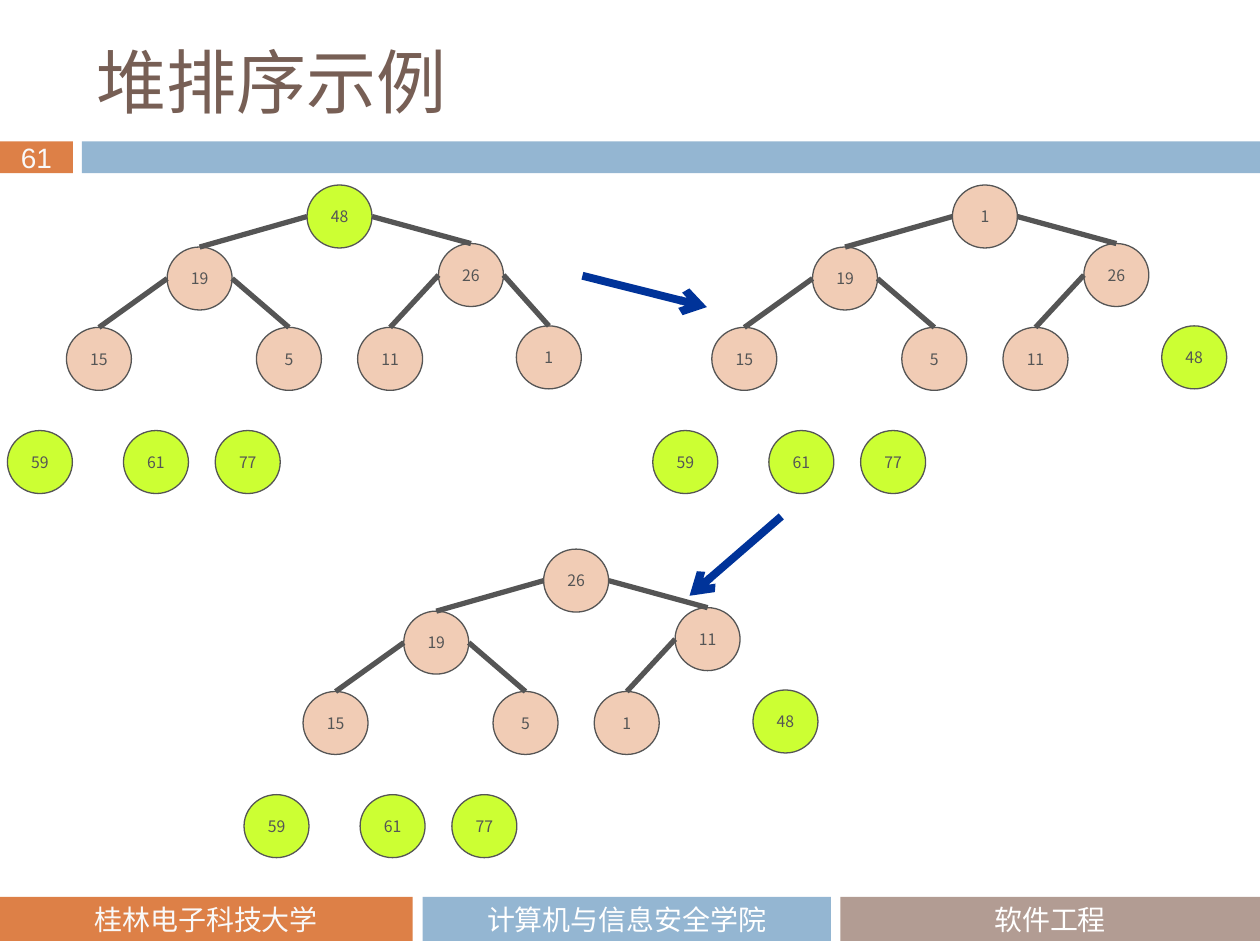
from dataclasses import dataclass

from lxml import etree
from pptx import Presentation
from pptx.dml.color import RGBColor
from pptx.enum.shapes import MSO_CONNECTOR, MSO_SHAPE
from pptx.enum.text import MSO_ANCHOR, PP_ALIGN
from pptx.oxml.ns import qn
from pptx.util import Cm, Pt

RECTANGLE, ELLIPSE = MSO_SHAPE.RECTANGLE, MSO_SHAPE.OVAL
STRAIGHT = MSO_CONNECTOR.STRAIGHT
LEFT, CENTER = PP_ALIGN.LEFT, PP_ALIGN.CENTER
MIDDLE = MSO_ANCHOR.MIDDLE


@dataclass(frozen=True)
class Theme:
    orange: str = "DD8047"
    blue: str = "94B6D2"
    taupe: str = "B29C93"
    title: str = "775F55"
    white: str = "FFFFFF"
    pale: str = "F9F9F9"
    ink: str = "555555"
    heap: str = "F1CCB5"
    settled: str = "CCFF33"
    step: str = "003399"
    title_size: float = 40
    bar_size: float = 16
    node_size: float = 9
    title_font: str = "Noto Sans CJK JP"
    bar_font: str = "Cabin"
    number_font: str = "Arial"
    node_font: str = "Noto Sans CJK SC"


THEME = Theme()

NODE_WIDTH, NODE_HEIGHT = 1.31, 1.27
# Node corners within a tree box, in heap order: children of i are 2i and 2i + 1.
NODE_OFFSETS = [
    (6.04, 0),
    (3.22, 1.25), (8.69, 1.18),
    (1.19, 2.87), (5.02, 2.87), (7.06, 2.87), (10.26, 2.84),
    (0, 4.95), (2.34, 4.95), (4.19, 4.95),
]
SETTLED_VALUES = {48, 59, 61, 77}
# Tree corner, values in heap order, number of values still linked in the heap.
HEAP_STEPS = [
    ((0.15, 3.73), [48, 19, 26, 15, 5, 11, 1, 59, 61, 77], 7),
    ((13.16, 3.73), [1, 19, 26, 15, 5, 11, 48, 59, 61, 77], 6),
    ((4.92, 11.07), [26, 19, 11, 15, 5, 1, 48, 59, 61, 77], 6),
]
STEP_ARROWS = [((11.74, 5.56), (14.25, 6.19)), ((15.75, 10.41), (13.9, 12.01))]


def write_text(shape, text, *, size, font, color, align=CENTER, inset=0, wrap=True):
    frame = shape.text_frame
    frame.word_wrap = wrap
    frame.vertical_anchor = MIDDLE
    frame.margin_left = frame.margin_right = Cm(inset)
    frame.margin_top = frame.margin_bottom = 0
    paragraph = frame.paragraphs[0]
    paragraph.alignment = align
    run = paragraph.add_run()
    run.text = text
    run.font.size = Pt(size)
    run.font.name = font
    run.font.color.rgb = RGBColor.from_string(color)
    east_asian = etree.SubElement(run.font._element, qn("a:ea"))
    east_asian.set("typeface", font)


def add_filled(slide, kind, box, fill, outline=None):
    shape = slide.shapes.add_shape(kind, *map(Cm, box))
    shape.shadow.inherit = False
    shape.fill.solid()
    shape.fill.fore_color.rgb = RGBColor.from_string(fill)
    if outline:
        shape.line.color.rgb = RGBColor.from_string(outline)
        shape.line.width = Pt(0.75)
    else:
        shape.line.fill.background()
    return shape


def add_line(slide, start, end, color, width, arrow=False):
    connector = slide.shapes.add_connector(STRAIGHT, *map(Cm, (*start, *end)))
    connector.line.color.rgb = RGBColor.from_string(color)
    connector.line.width = Pt(width)
    if arrow:
        outline = connector.line._get_or_add_ln()
        etree.SubElement(outline, qn("a:tailEnd")).set("type", "arrow")
    etree.SubElement(connector._element.spPr, qn("a:effectLst"))


def add_header(slide, left, top, width, height):
    title_height, bar_height, number_width, gap = 1.98, 0.64, 1.47, 0.18
    title = slide.shapes.add_textbox(
        Cm(left + 1.7), Cm(top), Cm(width - 2.74), Cm(title_height))
    write_text(title, "堆排序示例", size=THEME.title_size, font=THEME.title_font,
               color=THEME.title, align=LEFT, inset=0.25)
    bar_top = top + height - bar_height
    number = add_filled(slide, RECTANGLE, (left, bar_top, number_width, bar_height),
                        THEME.orange)
    write_text(number, "61", size=THEME.bar_size, font=THEME.number_font,
               color=THEME.pale, wrap=False)
    bar_left = left + number_width + gap
    add_filled(slide, RECTANGLE,
               (bar_left, bar_top, left + width - bar_left, bar_height), THEME.blue)


def add_footer(slide, left, top, width, height):
    bars = [
        ("桂林电子科技大学", 0, 8.32, THEME.orange, THEME.pale),
        ("计算机与信息安全学院", 8.52, 8.23, THEME.blue, THEME.white),
        ("软件工程", 16.94, width - 16.94, THEME.taupe, THEME.white),
    ]
    for text, offset, bar_width, fill, color in bars:
        bar = add_filled(slide, RECTANGLE, (left + offset, top, bar_width, height), fill)
        write_text(bar, text, size=THEME.bar_size, font=THEME.bar_font, color=color)


def add_heap(slide, left, top, values, heap_size):
    """Draw the linked heap and, unlinked, the values already sorted out of it."""
    corners = [(left + x, top + y) for x, y in NODE_OFFSETS]
    for value, corner in zip(values, corners):
        fill = THEME.settled if value in SETTLED_VALUES else THEME.heap
        node = add_filled(slide, ELLIPSE, (*corner, NODE_WIDTH, NODE_HEIGHT), fill,
                          THEME.ink)
        write_text(node, str(value), size=THEME.node_size, font=THEME.node_font,
                   color=THEME.ink, wrap=False)
    for child in range(1, heap_size):
        parent_x, parent_y = corners[(child - 1) // 2]
        child_x, child_y = corners[child]
        is_right_child = child % 2 == 0
        start = (parent_x + NODE_WIDTH * is_right_child, parent_y + NODE_HEIGHT / 2)
        add_line(slide, start, (child_x + NODE_WIDTH / 2, child_y), THEME.ink, 3)


def main():
    presentation = Presentation()
    presentation.slide_width, presentation.slide_height = Cm(25.4), Cm(19.05)
    slide = presentation.slides.add_slide(presentation.slide_layouts[6])
    add_header(slide, 0, 0.64, 25.4, 2.85)
    add_footer(slide, 0, 18.08, 25.4, 0.89)
    for corner, values, heap_size in HEAP_STEPS:
        add_heap(slide, *corner, values, heap_size)
    for start, end in STEP_ARROWS:
        add_line(slide, start, end, THEME.step, 4.5, arrow=True)
    presentation.save("out.pptx")


if __name__ == "__main__":
    main()
